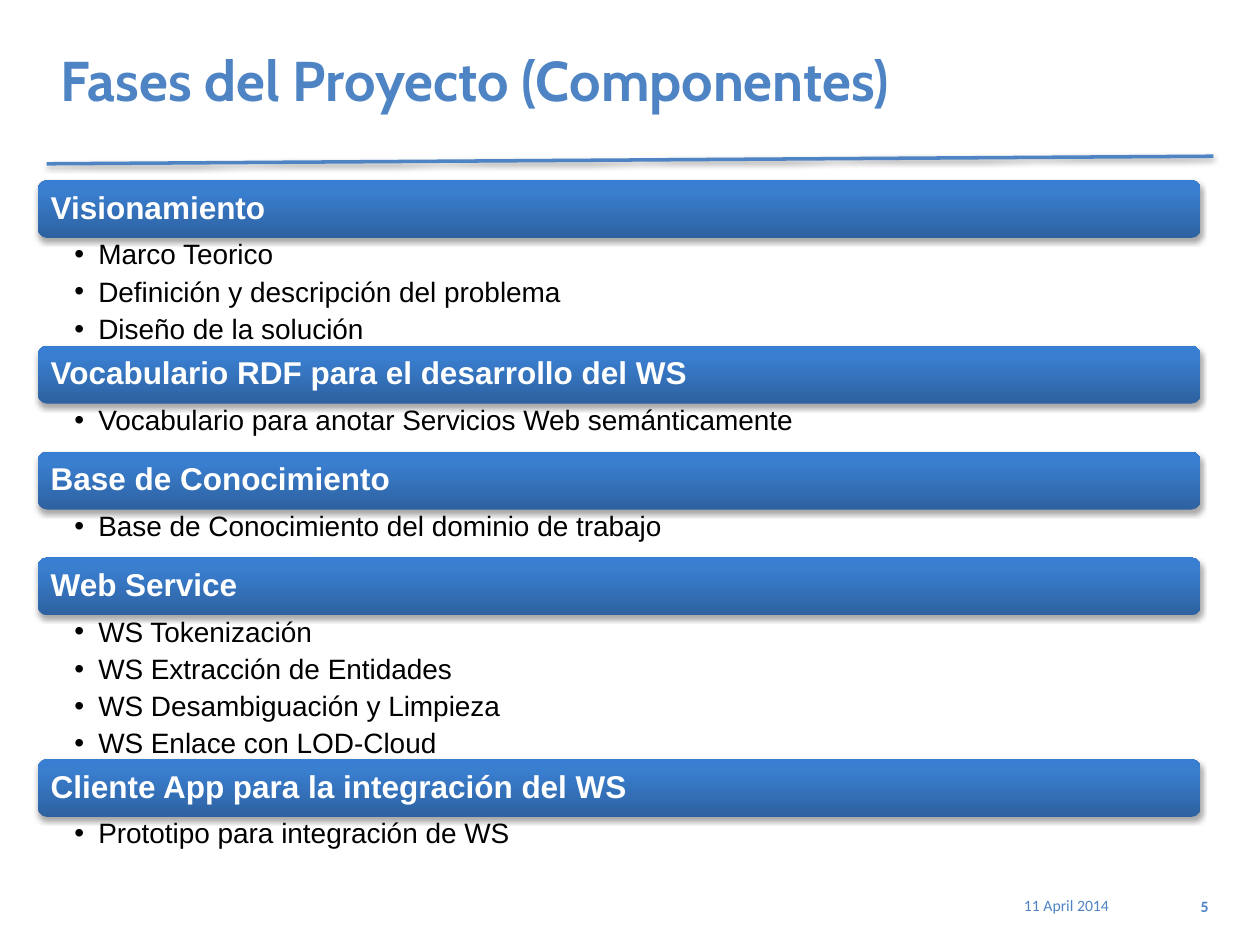
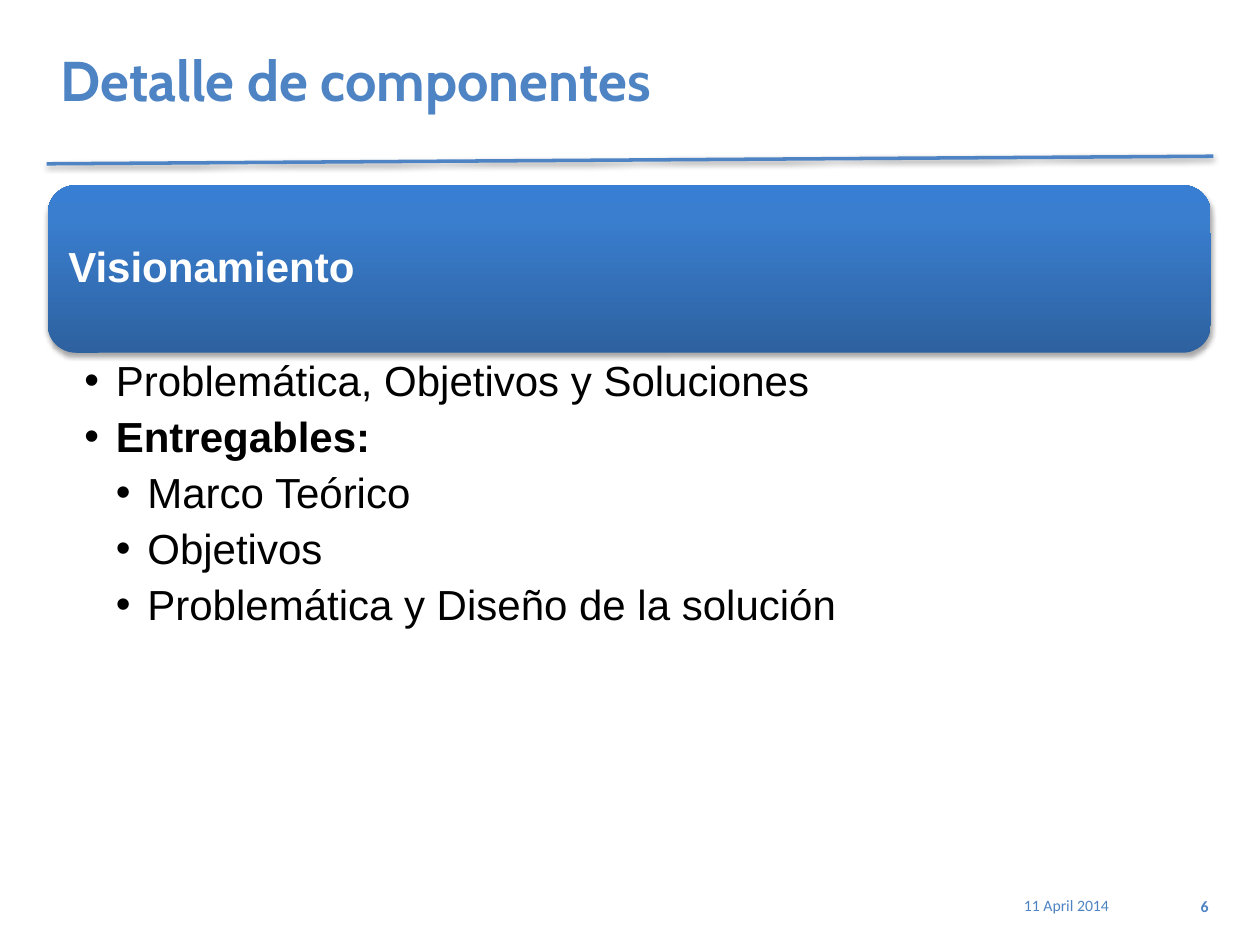
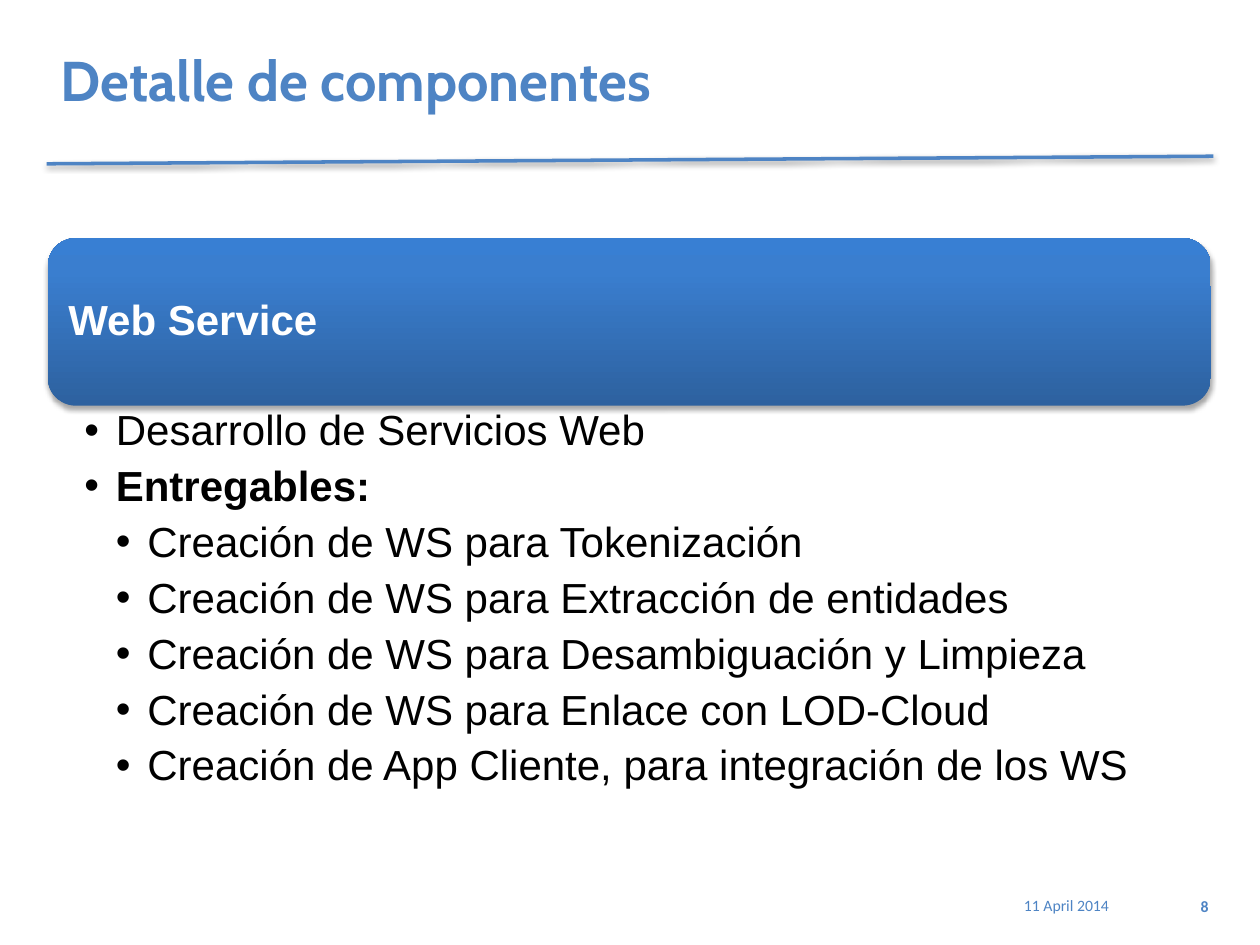
import copy
from dataclasses import dataclass

import pptx
import pptx.dml.color
import pptx.enum.shapes
import pptx.enum.text
import pptx.oxml
import pptx.oxml.ns
import pptx.util
from pptx.util import Inches

ANCHOR = pptx.enum.text.MSO_ANCHOR
ALIGN = pptx.enum.text.PP_ALIGN


@dataclass(frozen=True)
class Theme:
    accent: str = "4E84C4"
    bar_text: str = "FFFFFF"
    body_text: str = "000000"
    bar_stops: tuple = ((0, "2D619F"), (0.8, "3A7ECF"), (1, "387FD3"))
    title_font: str = "Cabin"
    body_font: str = "Arial"
    footer_font: str = "Calibri"
    title_size: int = 32
    footer_size: int = 9
    rule_width: int = 2
    line_spacing: float = 0.9
    space_after: float = 0.25  # share of the type size


@dataclass(frozen=True)
class SectionStyle:
    """Measures of a heading bar with its bullet list, in inches and points."""
    bar_height: float
    bar_inset: float
    bar_size: int
    body_size: int
    indent: float
    body_top_inset: float
    body_right_inset: float
    body_left_inset: float = 0.29


THEME = Theme()
COMPACT = SectionStyle(0.46, 0.08, 18, 16, 0.19, 0.02, 0.12)
LARGE = SectionStyle(1.33, 0.1, 24, 24, 0.25, 0.03, 0.19)

DATE = "11 April 2014"
BULLET_PITCH = 0.285
MIN_BODY_HEIGHT = 0.38

PHASES = [
    ("Visionamiento",
     ["Marco Teorico", "Definición y descripción del problema", "Diseño de la solución"]),
    ("Vocabulario RDF para el desarrollo del WS",
     ["Vocabulario para anotar Servicios Web semánticamente"]),
    ("Base de Conocimiento", ["Base de Conocimiento del dominio de trabajo"]),
    ("Web Service",
     ["WS Tokenización", "WS Extracción de Entidades",
      "WS Desambiguación y Limpieza", "WS Enlace con LOD-Cloud"]),
    ("Cliente App para la integración del WS", ["Prototipo para integración de WS"]),
]
VISION_DELIVERABLES = ["Marco Teórico", "Objetivos", "Problemática y Diseño de la solución"]
SERVICE_DELIVERABLES = [
    "Creación de WS para Tokenización",
    "Creación de WS para Extracción de entidades",
    "Creación de WS para Desambiguación y Limpieza",
    "Creación de WS para Enlace con LOD-Cloud",
    "Creación de App Cliente, para integración de los WS",
]


def rgb(value):
    return pptx.dml.color.RGBColor.from_string(value)


def apply(target, formats):
    for name, value in formats.items():
        setattr(target, name, value)


def write(paragraph, text, font, size, color, bold=False):
    run = paragraph.add_run()
    run.text = text
    apply(run.font, {"name": font, "size": pptx.util.Pt(size), "bold": bold})
    run.font.color.rgb = rgb(color)


def format_frame(frame, left=0.1, top=0.05, right=0.1, bottom=0.05, anchor=ANCHOR.TOP):
    apply(frame, {
        "word_wrap": True,
        "auto_size": pptx.enum.text.MSO_AUTO_SIZE.NONE,
        "vertical_anchor": anchor,
        "margin_left": Inches(left),
        "margin_top": Inches(top),
        "margin_right": Inches(right),
        "margin_bottom": Inches(bottom),
    })


def cast_shadow(shape, opacity, distance):
    """Add a soft downward shadow; call after fill and line are set."""
    shape._element.spPr.append(pptx.oxml.parse_xml(
        f'<a:effectLst {pptx.oxml.ns.nsdecls("a")}>'
        f'<a:outerShdw blurRad="{pptx.util.Pt(3.1)}" dist="{pptx.util.Pt(distance)}" '
        'dir="5400000" rotWithShape="0"><a:srgbClr val="000000">'
        f'<a:alpha val="{opacity * 1000}"/></a:srgbClr></a:outerShdw></a:effectLst>'))


def add_bullet(paragraph, level, indent):
    paragraph.level = level
    properties = paragraph._p.get_or_add_pPr()
    properties.set("marL", str(Inches(indent * level)))
    properties.set("indent", str(-Inches(indent)))
    for tag, name, value in (("buFont", "typeface", THEME.body_font), ("buChar", "char", "•")):
        properties.append(pptx.oxml.parse_xml(
            f'<a:{tag} {pptx.oxml.ns.nsdecls("a")} {name}="{value}"/>'))


def add_heading_bar(slide, heading, left, top, width, style):
    bar = slide.shapes.add_shape(
        pptx.enum.shapes.MSO_SHAPE.ROUNDED_RECTANGLE,
        Inches(left), Inches(top), Inches(width), Inches(style.bar_height))
    bar.fill.gradient()
    bar.fill.gradient_angle = 90
    stop_list = bar._element.spPr.find(".//" + pptx.oxml.ns.qn("a:gsLst"))
    stop_list.append(copy.deepcopy(stop_list[0]))
    for stop, (position, color) in zip(bar.fill.gradient_stops, THEME.bar_stops):
        stop.position = position
        stop.color.rgb = rgb(color)
    bar.line.fill.background()
    cast_shadow(bar, 35, 1.8)

    format_frame(bar.text_frame, *[style.bar_inset] * 4, anchor=ANCHOR.MIDDLE)
    paragraph = bar.text_frame.paragraphs[0]
    apply(paragraph, {"alignment": ALIGN.LEFT, "line_spacing": THEME.line_spacing})
    write(paragraph, heading, THEME.body_font, style.bar_size, THEME.bar_text, True)


def add_bullet_list(slide, items, left, top, width, height, style):
    """Items are (text, level, bold)."""
    frame = slide.shapes.add_textbox(
        Inches(left), Inches(top), Inches(width), Inches(height)).text_frame
    format_frame(frame, style.body_left_inset, style.body_top_inset,
                 style.body_right_inset, style.body_top_inset)
    for index, (text, level, bold) in enumerate(items):
        paragraph = frame.add_paragraph() if index else frame.paragraphs[0]
        apply(paragraph, {
            "line_spacing": THEME.line_spacing,
            "space_after": pptx.util.Pt(style.body_size * THEME.space_after),
        })
        add_bullet(paragraph, level, style.indent)
        write(paragraph, text, THEME.body_font, style.body_size, THEME.body_text, bold)


def add_footer_text(slide, text, left, top, width, height, bold=False):
    frame = slide.shapes.add_textbox(
        Inches(left), Inches(top), Inches(width), Inches(height)).text_frame
    format_frame(frame)
    frame.paragraphs[0].alignment = ALIGN.RIGHT
    write(frame.paragraphs[0], text, THEME.footer_font, THEME.footer_size, THEME.accent, bold)


def add_base_slide(deck, title, number):
    """Add a slide with its title, header rule, date and page number."""
    slide = deck.slides.add_slide(deck.slide_layouts[5])
    heading = slide.shapes.title
    apply(heading, {"left": Inches(0.38), "top": Inches(0.3),
                    "width": Inches(9.23), "height": Inches(0.65)})
    format_frame(heading.text_frame, anchor=ANCHOR.MIDDLE)
    paragraph = heading.text_frame.paragraphs[0]
    paragraph.alignment = ALIGN.LEFT
    write(paragraph, title, THEME.title_font, THEME.title_size, THEME.accent, True)

    rule = slide.shapes.add_connector(
        pptx.enum.shapes.MSO_CONNECTOR.STRAIGHT,
        Inches(0.37), Inches(1.3), Inches(9.63), Inches(1.24))
    rule.line.color.rgb = rgb(THEME.accent)
    rule.line.width = pptx.util.Pt(THEME.rule_width)
    cast_shadow(rule, 38, 1.6)

    add_footer_text(slide, DATE, 7.35, 7.06, 1.55, 0.35)
    add_footer_text(slide, str(number), 9.27, 7.07, 0.42, 0.29, bold=True)
    return slide


def add_phases(slide, phases, left, top, width):
    """Stack the phases, each as tall as its list needs."""
    for heading, tasks in phases:
        add_heading_bar(slide, heading, left, top, width, COMPACT)
        top += COMPACT.bar_height
        height = max(MIN_BODY_HEIGHT, BULLET_PITCH * len(tasks))
        add_bullet_list(slide, [(task, 1, False) for task in tasks],
                        left, top, width, height, COMPACT)
        top += height


def add_component(slide, heading, summary, deliverables, left, top, width, height, gap=0):
    """Place one component; gap separates the bar from its list."""
    add_heading_bar(slide, heading, left, top, width, LARGE)
    items = [(summary, 1, False), ("Entregables:", 1, True)]
    items += [(deliverable, 2, False) for deliverable in deliverables]
    offset = LARGE.bar_height + gap
    add_bullet_list(slide, items, left, top + offset, width, height - offset, LARGE)


def main():
    deck = pptx.Presentation()
    deck.slide_width, deck.slide_height = Inches(10), Inches(7.5)

    phases = add_base_slide(deck, "Fases del Proyecto (Componentes)", 5)
    add_phases(phases, PHASES, 0.3, 1.43, 9.23)

    vision = add_base_slide(deck, "Detalle de componentes", 6)
    add_component(vision, "Visionamiento", "Problemática, Objetivos y Soluciones",
                  VISION_DELIVERABLES, 0.38, 1.47, 9.23, 3.49, gap=0.03)

    service = add_base_slide(deck, "Detalle de componentes", 8)
    add_component(service, "Web Service", "Desarrollo de Servicios Web",
                  SERVICE_DELIVERABLES, 0.38, 1.89, 9.23, 4.27)

    deck.save("out.pptx")


if __name__ == "__main__":
    main()
